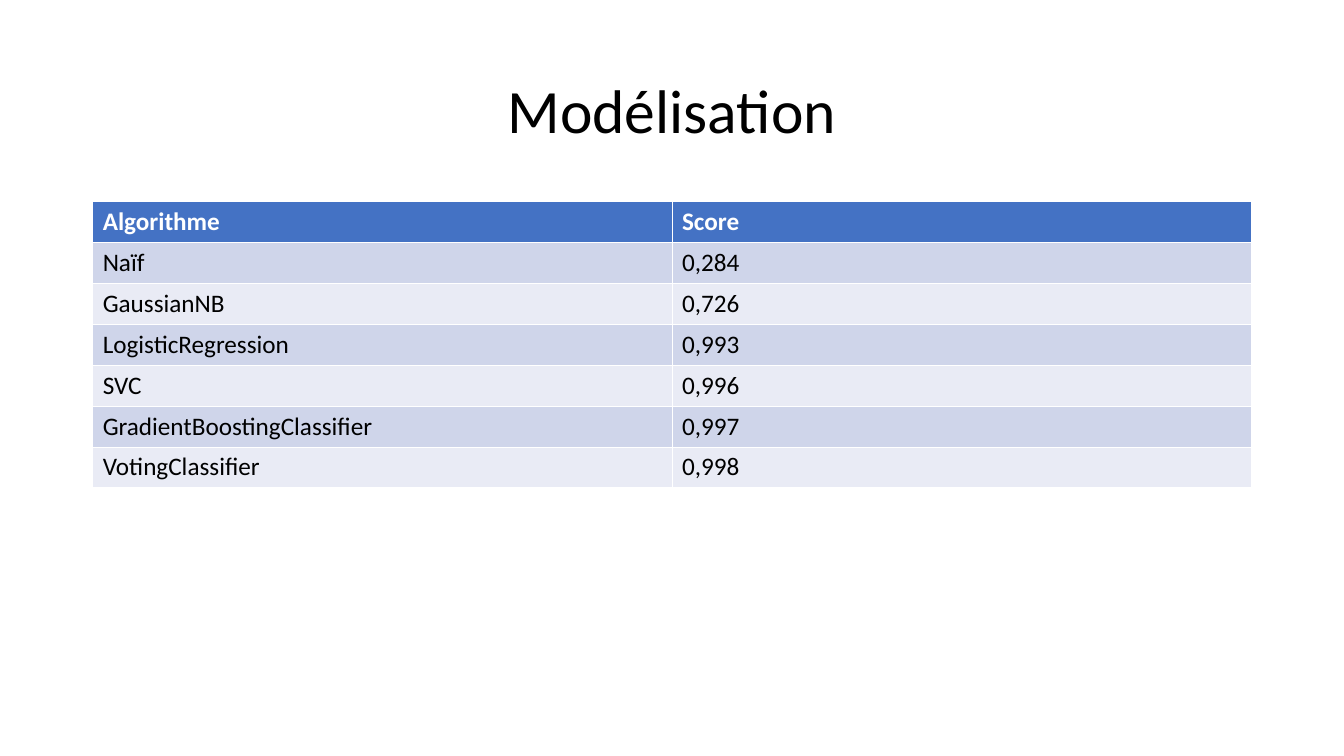
from dataclasses import dataclass

from lxml import etree
from pptx import Presentation
from pptx import util as u
from pptx.dml.color import RGBColor
from pptx.enum import text as tx
from pptx.oxml import ns


@dataclass(frozen=True)
class Theme:
    font: str = "Calibri"
    ink: str = "000000"
    white: str = "FFFFFF"
    head: str = "4472C4"
    bands: tuple = ("CFD5EA", "E9EBF5")
    title: int = 44
    body: int = 18
    thin: float = 0.45
    thick: float = 1.47


THEME = Theme()
SCORES = [
    ("Algorithme", "Score"),
    ("Naïf", "0,284"),
    ("GaussianNB", "0,726"),
    ("LogisticRegression", "0,993"),
    ("SVC", "0,996"),
    ("GradientBoostingClassifier", "0,997"),
    ("VotingClassifier", "0,998"),
]


def write(frame, words, size=THEME.body, color=THEME.ink, bold=False,
          align=tx.PP_ALIGN.LEFT, space=1.0):
    """Put one formatted paragraph in a text frame."""
    para = frame.paragraphs[0]
    para.alignment, para.line_spacing = align, space
    run = para.add_run()
    run.text = words
    font = run.font
    font.name, font.size, font.bold = THEME.font, u.Pt(size), bold
    font.color.rgb = RGBColor.from_string(color)


def border(cell, widths):
    """Draw white cell edges; widths maps a side (L, R, T, B) to points."""
    props = cell._tc.get_or_add_tcPr()
    for side, width in widths.items():
        line = etree.SubElement(props, ns.qn(f"a:ln{side}"), w=str(u.Pt(width)))
        fill = etree.SubElement(line, ns.qn("a:solidFill"))
        etree.SubElement(fill, ns.qn("a:srgbClr"), val=THEME.white)


def add_title(slide, words, left, top, width, height):
    box = slide.shapes.add_textbox(*map(u.Inches, (left, top, width, height)))
    frame = box.text_frame
    frame.word_wrap = True
    frame.vertical_anchor = tx.MSO_ANCHOR.MIDDLE
    write(frame, words, size=THEME.title, align=tx.PP_ALIGN.CENTER, space=0.9)


def add_scores(slide, rows, left, top, width, height):
    count, cols = len(rows), len(rows[0])
    table = slide.shapes.add_table(
        count, cols, *map(u.Inches, (left, top, width, height))).table
    for r, row in enumerate(rows):
        table.rows[r].height = u.Inches(height / count)
        head = r == 0
        shade = THEME.head if head else THEME.bands[(r - 1) % 2]
        # The rule under the header is thicker than the others
        above = THEME.thick if r == 1 else THEME.thin
        below = THEME.thick if head else THEME.thin
        for c, words in enumerate(row):
            cell = table.cell(r, c)
            border(cell, {"L": THEME.thin, "R": THEME.thin, "T": above, "B": below})
            cell.fill.solid()
            cell.fill.fore_color.rgb = RGBColor.from_string(shade)
            write(cell.text_frame, words, bold=head,
                  color=THEME.white if head else THEME.ink)


def main():
    deck = Presentation()
    deck.slide_width, deck.slide_height = u.Inches(13.34), u.Inches(7.5)
    slide = deck.slides.add_slide(deck.slide_layouts[6])
    left, width = 0.92, 11.5
    # Heading
    add_title(slide, "Modélisation", left, 0.4, width, 1.45)
    # Table of scores
    add_scores(slide, SCORES, left, 2, width, 2.84)
    deck.save("out.pptx")


if __name__ == "__main__":
    main()
